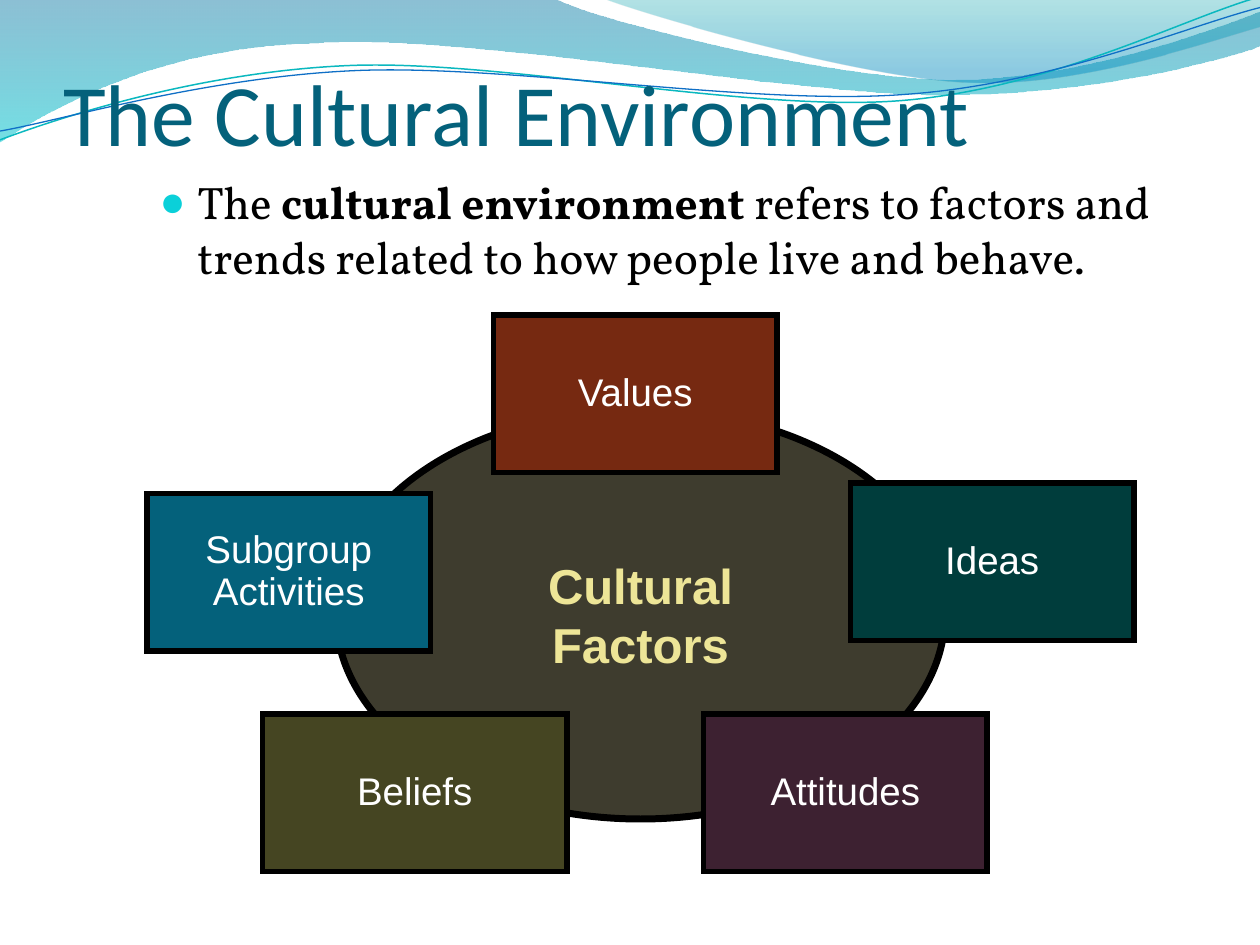
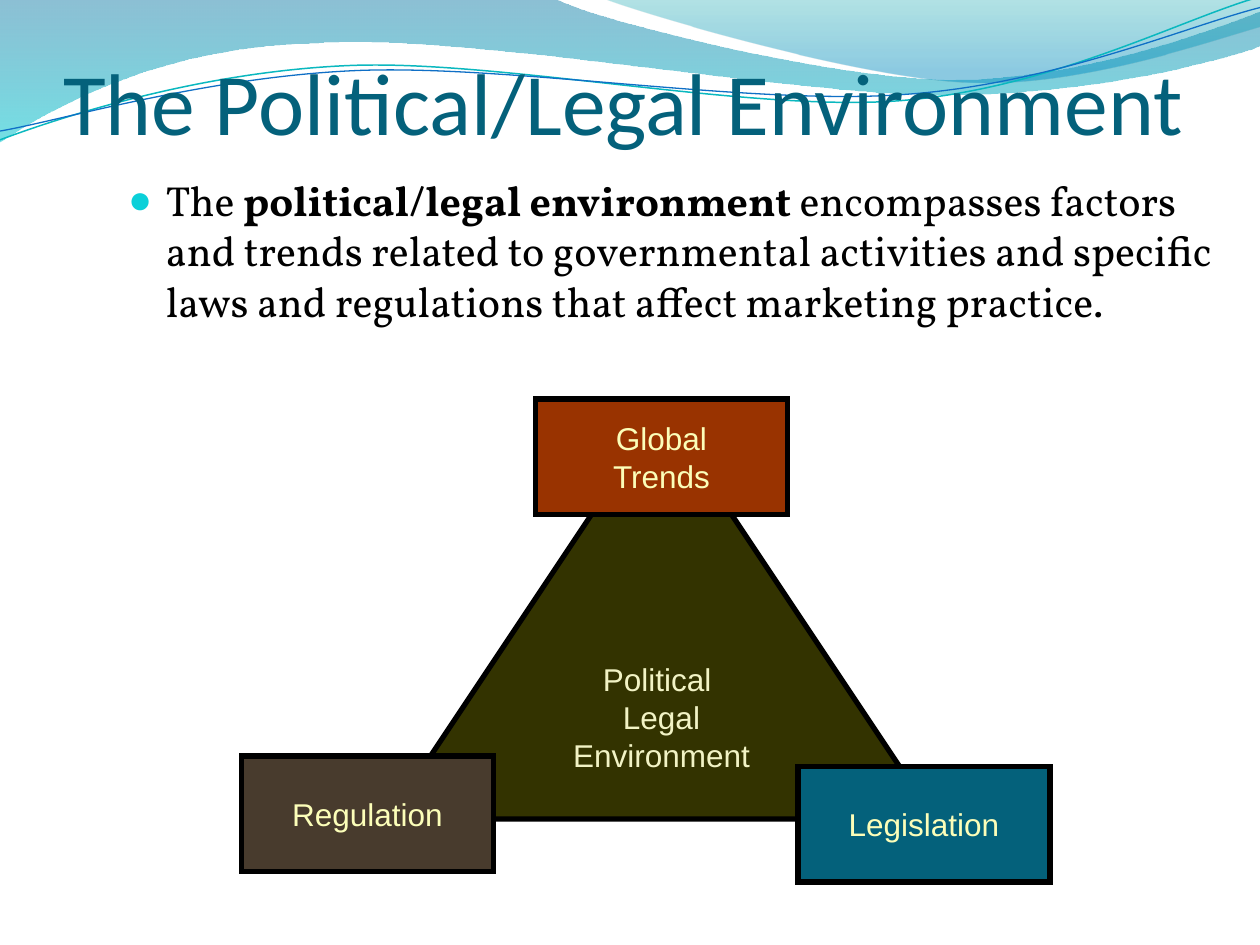
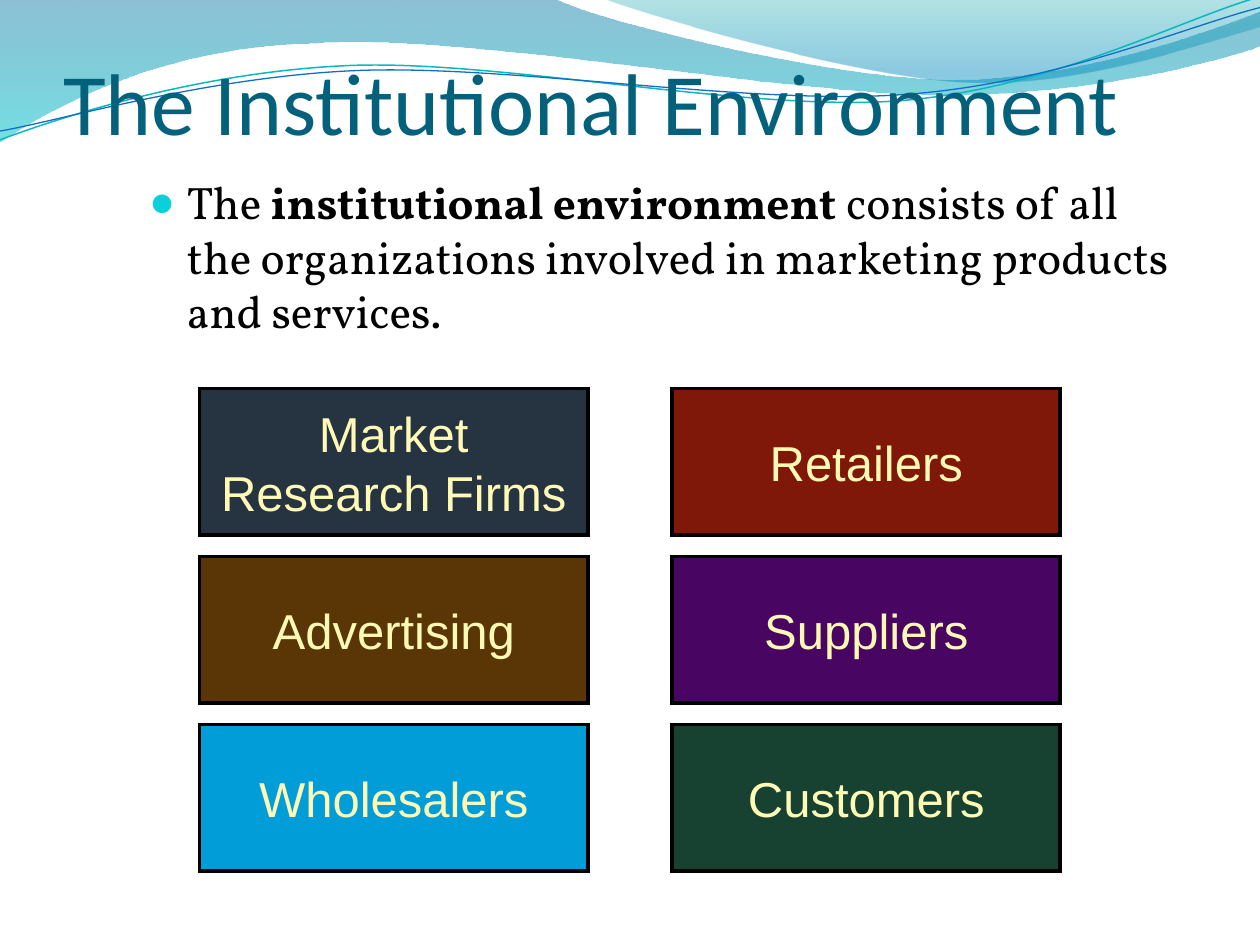
import math
from lxml import etree
from pptx import Presentation
from pptx import util as u
from pptx.dml.color import RGBColor
from pptx.enum import shapes, text
from pptx.oxml.ns import qn

rgb = RGBColor.from_string
RECT = shapes.MSO_SHAPE.RECTANGLE
OVAL = shapes.MSO_SHAPE.OVAL
TRI = shapes.MSO_SHAPE.ISOSCELES_TRIANGLE
LEFT, MID = text.PP_ALIGN.LEFT, text.PP_ALIGN.CENTER
TEAL, BLACK, CREAM = "04617B", "000000", "FCFEB9"

deck = Presentation()
deck.slide_width, deck.slide_height = u.Inches(10), u.Inches(7.5)
CELL = deck.slide_width / 120  # the slide is a grid of 120 columns and 90 rows


def write(shape, box, words, size, color, font="Arial", align=MID,
          anchor=text.MSO_ANCHOR.MIDDLE, bold=False, lead=None, bullet=False):
    """Place a shape on grid cells and fill it; each newline starts a paragraph, * toggles bold."""
    shape.left, shape.top, shape.width, shape.height = [round(n * CELL) for n in box]
    frame = shape.text_frame
    frame.word_wrap, frame.auto_size = True, text.MSO_AUTO_SIZE.NONE
    frame.vertical_anchor = anchor
    for i, line in enumerate(words.split("\n")):
        para = frame.add_paragraph() if i else frame.paragraphs[0]
        para.alignment, para.line_spacing = align, lead
        para.space_before = u.Pt(0)
        if bullet:
            props = para._p.get_or_add_pPr()
            props.set("marL", str(u.Inches(0.3)))
            props.set("indent", str(-u.Inches(0.3)))
            tint = etree.SubElement(props, qn("a:buClr"))
            etree.SubElement(tint, qn("a:srgbClr"), val="0BD0D9")
            etree.SubElement(props, qn("a:buSzPct"), val="95000")
            etree.SubElement(props, qn("a:buFont"), typeface="Arial")
            etree.SubElement(props, qn("a:buChar"), char="●")
        for j, part in enumerate(line.split("*")):
            run = para.add_run()
            run.text = part
            run.font.name, run.font.size = font, u.Pt(size)
            run.font.bold = bold or j % 2 == 1
            run.font.color.rgb = rgb(color)


def block(slide, kind, box, fill, words, size, color, edge=3, **form):
    shape = slide.shapes.add_shape(kind, 0, 0, 0, 0)
    shape.shadow.inherit = False
    shape.fill.solid()
    shape.fill.fore_color.rgb = rgb(fill)
    shape.line.color.rgb = rgb(BLACK)
    shape.line.width = u.Pt(edge)
    etree.SubElement(shape.element.spPr.find(qn("a:ln")), qn("a:miter"), lim="800000")
    write(shape, box, words, size, color, **form)


# Titles and lead sentences: title row, title, body box, body size, body
pages = [
    (0.6, "The Cultural Environment", (14, 16, 103, 17), 26,
     "The *cultural environment *refers to factors and trends related to how "
     "people live and behave."),
    (-0.4, "The Political/Legal Environment", (11, 16, 107, 23), 24,
     "The *political/legal environment *encompasses factors and trends related to "
     "governmental activities and specific laws and regulations that affect "
     "marketing practice."),
    (-0.4, "The Institutional Environment", (13, 16, 100, 19), 26,
     "The *institutional environment *consists of all the organizations involved "
     "in marketing products and services."),
]
slides = []
for row, title, box, size, body in pages:
    slide = deck.slides.add_slide(deck.slide_layouts[1])
    head, lead = slide.placeholders
    write(head, (6, row, 108, 15), title, 50, TEAL, font="Calibri", align=LEFT,
          anchor=text.MSO_ANCHOR.BOTTOM)
    frame = head.text_frame
    frame.margin_left = frame.margin_right = frame.margin_bottom = 0
    frame.margin_top = u.Inches(0.05)
    write(lead, box, body, size, BLACK, font="Vollkorn", align=LEFT,
          anchor=text.MSO_ANCHOR.TOP, bullet=True)
    slides.append(slide)
culture, law, trade = slides

# Waves on the master, in inches: a pair is a line's end, a six is a cubic curve
waves = [
    ([(0, 0), (4.4, -0.01), (4.76, 0.17, 6.64, 0.63, 7.58, 0.63),
      (8.53, 0.63, 9.58, 0.26, 10, 0.09), (10.01, 0.36),
      (9.83, 0.44, 8.7, 0.76, 7.46, 0.75), (6.22, 0.75, 3.82, 0.28, 2.57, 0.34),
      (1.29, 0.36, 0.46, 0.83, -0.01, 1.13), (0, 0)],
     [(0, "0074A1", 45), (1, "00C6CF", 55)], None),
    ([(4.79, -0.01), (5.09, 0.11, 6.82, 0.62, 7.69, 0.65),
      (8.56, 0.69, 9.61, 0.32, 10, 0.21), (10, 0), (4.79, -0.01)],
     [(0, "00A1A9", 30), (0.8, "008BBF", 45)], None),
    ([(0, 1.11), (0.48, 0.93, 1.58, 0.57, 2.77, 0.52),
      (3.95, 0.47, 5.93, 0.89, 7.13, 0.8), (8.33, 0.71, 9.38, 0.15, 9.98, -0.02)],
     None, ("0AB8BF", 0.85)),
    ([(0, 1.04), (0.47, 0.96, 1.64, 0.61, 2.83, 0.56),
      (4.03, 0.51, 5.97, 0.84, 7.17, 0.75), (8.36, 0.67, 9.41, 0.21, 10, 0.06)],
     None, ("0F6FC6", 0.75)),
]
TILT, MIDX, MIDY = 2.7, 4.99, 0.58  # the thin lines lean to the left about this point
made = []
for route, stops, pen in waves:
    turn = math.radians(TILT if pen else 0)
    cos, sin = math.cos(turn), math.sin(turn)
    dots = []
    for leg in route:
        for x, y in zip(leg[::2], leg[1::2]):
            dx, dy = x - MIDX, y - MIDY
            dots.append((u.Inches(MIDX + dx * cos - dy * sin),
                         u.Inches(MIDY + dx * sin + dy * cos)))
    pencil = culture.shapes.build_freeform(*dots[0])
    pencil.add_line_segments(dots[1:], close=bool(stops))
    wave = pencil.convert_to_shape()
    wave.shadow.inherit = False

    # Join the three points of each six into one curve
    lines = iter(list(wave.element.iter(qn("a:lnTo"))))
    for leg in route[1:]:
        first, *rest = [next(lines) for _ in leg[::2]]
        if rest:
            first.tag = qn("a:cubicBezTo")
        for line in rest:
            first.append(line[0])
            line.getparent().remove(line)

    if stops:
        wave.line.fill.background()
        wave.fill.gradient()
        wave.fill.gradient_angle = 270
        for stop, (spot, color, _) in zip(wave.fill.gradient_stops, stops):
            stop.position, stop.color.rgb = spot, rgb(color)
        tints = wave.element.spPr.iter(qn("a:srgbClr"))
        for tint, (_, _, alpha) in zip(list(tints), stops):
            etree.SubElement(tint, qn("a:alpha"), val=str(alpha * 1000))
    else:
        wave.rotation = 360 - TILT
        wave.fill.background()
        wave.line.color.rgb = rgb(pen[0])
        wave.line.width = u.Pt(pen[1])
    made.append(wave.element)
for i, wave in enumerate(made):
    wave.nvSpPr.cNvPr.set("id", str(20 + i))
    deck.slide_master.shapes.element.insert(2 + i, wave)

# Cultural factors around an oval
block(culture, OVAL, (32, 39, 58, 39), "3E3C2E", "Cultural\nFactors", 28, "EDE597",
      edge=4, bold=True)
for x, y, wide, fill, name in [
    (47, 30, 27, "762911", "Values"),
    (81, 46, 27, "003D3C", "Ideas"),
    (67, 68, 27, "3D2131", "Attitudes"),
    (14, 47, 27, TEAL, "Subgroup\nActivities"),
    (25, 68, 29, "454522", "Beliefs"),
]:
    block(culture, RECT, (x, y, wide, 15), fill, name, 22, "FFFFFF", lead=0.9)

# Political and legal forces at the corners of a triangle
block(law, TRI, (37, 39, 52, 39), "333300", "Political \nLegal\nEnvironment", 18, "F2F3C5")
for x, y, fill, name in [
    (51, 38, "993300", "Global\nTrends"),
    (76, 73, TEAL, "Legislation"),
    (23, 72, "483B2D", "Regulation"),
]:
    block(law, RECT, (x, y, 24, 11), fill, name, 18, CREAM)

# Institutions in two columns of three
firms = [
    ("263340", "Market Research Firms"), ("5A3606", "Advertising"), ("009DD9", "Wholesalers"),
    ("7F1808", "Retailers"), ("480662", "Suppliers"), ("174232", "Customers"),
]
for i, (fill, name) in enumerate(firms):
    col, row = divmod(i, 3)
    block(trade, RECT, (19 + 45 * col, 37 + 16 * row, 37, 14), fill, name, 28, "FFF9B6",
          edge=2.25)

deck.save("out.pptx")
